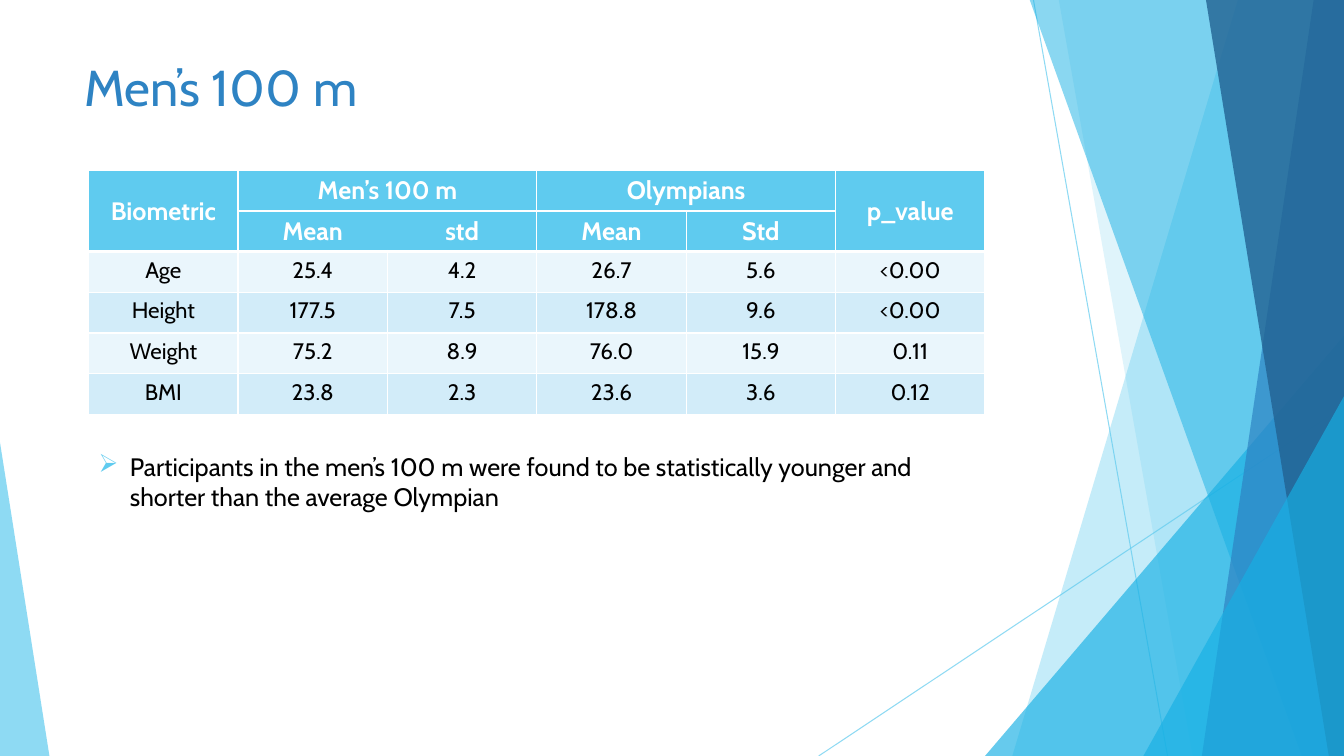
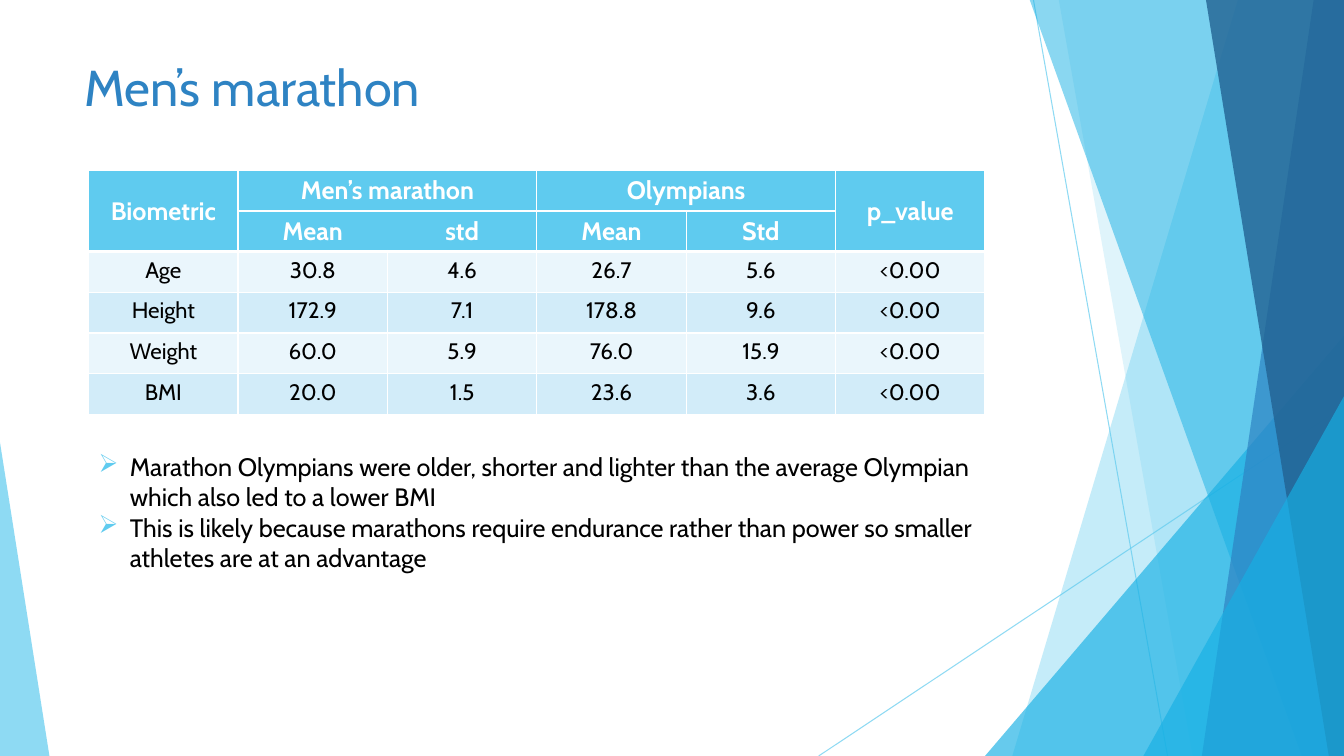
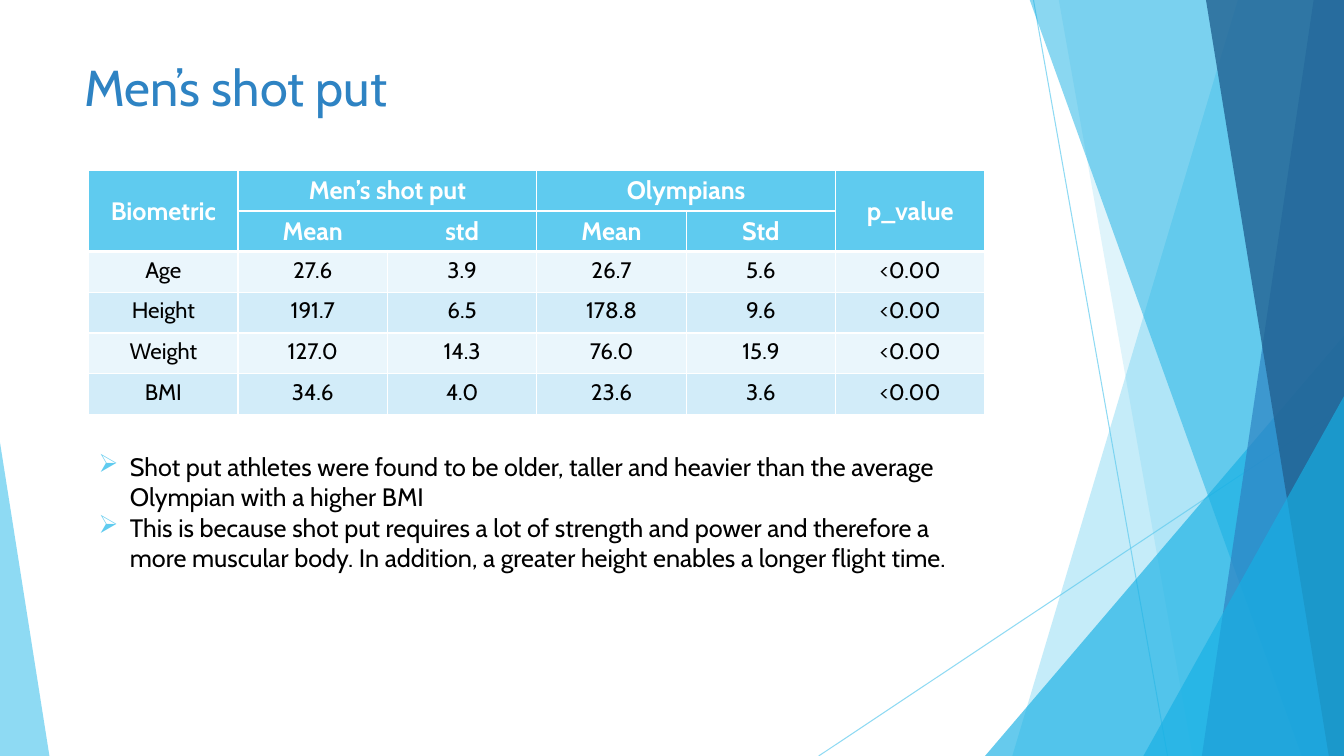
"""Builds three slides that compare men's events with all Olympians."""
from lxml.etree import SubElement
from pptx import Presentation
from pptx.dml.color import RGBColor as RGB
from pptx.enum.shapes import MSO_CONNECTOR as LINK, MSO_SHAPE as SHAPE
from pptx.enum.text import MSO_ANCHOR as ANCHOR, MSO_AUTO_SIZE as FIT, PP_ALIGN as ALIGN
from pptx.oxml.ns import qn
from pptx.util import Inches, Pt

HUES = {"sky": "5FCBEF", "cyan": "17B0E4", "blue": "2E83C3", "navy": "226292",
        "pale": "EAF6FC", "band": "D2ECF9", "white": "FFFFFF", "black": "000000"}
LOOKS = {
    "title": ("blue", {"size": Pt(36), "bold": False}),
    "head": ("white", {"size": Pt(18), "bold": True}),
    "body": ("black", {"size": Pt(16), "bold": False}),
    "note": ("black", {"size": Pt(18), "bold": False}),
}
WIDE, HIGH, TOP = 13.33, 7.5, -0.01

LINES = [(10.25, 0, 11.58, HIGH), (WIDE, 4.03, 8.12, HIGH)]
SHARDS = [
    ("free", (12.28, 10.04), "sky", 36),
    ("free", (10.5, 11.83), "sky", 20),
    ("tri", (9.77, 3.33, 3.56, 4.17, 1), "cyan", 66),
    ("free", (10.21, 12.91), "cyan", 50),
    ("free", (13.03, 11.92), "blue", 70),
    ("free", (11.96, 13.18), "navy", 80),
    ("tri", (11.34, 3.93, 1.99, 3.57, 1), "cyan", 66),
    ("tri", (0, 4.39, 0.49, 3.11, 0), "sky", 70),
]

NAMES = ["Age", "Height", "Weight", "BMI"]
ALL = [("26.7", "5.6"), ("178.8", "9.6"), ("76.0", "15.9"), ("23.6", "3.6")]
EVENTS = [
    ("Men’s 100 m",
     [("25.4", "4.2", "<0.00"), ("177.5", "7.5", "<0.00"),
      ("75.2", "8.9", "0.11"), ("23.8", "2.3", "0.12")],
     ["Participants in the men’s 100 m were found to be statistically younger and "
      "shorter than the average Olympian"]),
    ("Men’s marathon",
     [("30.8", "4.6", "<0.00"), ("172.9", "7.1", "<0.00"),
      ("60.0", "5.9", "<0.00"), ("20.0", "1.5", "<0.00")],
     ["Marathon Olympians were older, shorter and lighter than the average Olympian "
      "which also led to a lower BMI",
      "This is likely because marathons require endurance rather than power so smaller "
      "athletes are at an advantage"]),
    ("Men’s shot put",
     [("27.6", "3.9", "<0.00"), ("191.7", "6.5", "<0.00"),
      ("127.0", "14.3", "<0.00"), ("34.6", "4.0", "<0.00")],
     ["Shot put athletes were found to be older, taller and heavier than the average "
      "Olympian with a higher BMI",
      "This is because shot put requires a lot of strength and power and therefore a "
      "more muscular body. In addition, a greater height enables a longer flight time."]),
]
SPANS = [(0, 0, 1, 0), (0, 1, 0, 2), (0, 3, 0, 4), (0, 5, 1, 5)]
THICK = {(0, 0, "B"), (0, 5, "B")} | {(1, c, "B") for c in range(6)} | {(2, c, "T") for c in range(6)}
BARE = {(1, 1, "R"), (1, 2, "L")}


def write(para, text, look):
    hue, form = LOOKS[look]
    run = para.add_run()
    run.text = text
    run.font.name = "Cabin"
    run.font.color.rgb = RGB.from_string(HUES[hue])
    for key, val in form.items():
        setattr(run.font, key, val)


def fade(shape, alpha):
    for tone in shape.element.spPr.iter(qn("a:srgbClr")):
        SubElement(tone, qn("a:alpha"), val=str(alpha * 1000))


deck = Presentation()
deck.slide_width, deck.slide_height = Inches(WIDE), Inches(HIGH)
blank = deck.slide_layouts[6]
for spot in list(blank.placeholders):
    blank.shapes.element.remove(spot.element)
slides = [deck.slides.add_slide(blank) for _ in EVENTS]

shapes = slides[0].shapes
for ends in LINES:
    line = shapes.add_connector(LINK.STRAIGHT, *map(Inches, ends))
    line.line.color.rgb = RGB.from_string(HUES["sky"])
    line.line.width = Pt(0.75)
    fade(line, 70)
    SubElement(line.element.spPr, qn("a:effectLst"))
for kind, geo, hue, alpha in SHARDS:
    if kind == "free":
        top, base = geo
        pen = shapes.build_freeform(Inches(top), Inches(TOP))
        pen.add_line_segments([(Inches(x), Inches(y)) for x, y in
                               [(WIDE, TOP), (WIDE, HIGH), (base, HIGH)]])
        shard = pen.convert_to_shape()
    else:
        shard = shapes.add_shape(SHAPE.ISOSCELES_TRIANGLE, *map(Inches, geo[:4]))
        shard.adjustments[0] = geo[4]
    shard.shadow.inherit = False
    shard.fill.solid()
    shard.fill.fore_color.rgb = RGB.from_string(HUES[hue])
    shard.line.fill.background()
    fade(shard, alpha)
for shape in list(shapes):
    blank.shapes.element.append(shape.element)

for slide, (event, stats, notes) in zip(slides, EVENTS):
    title = slide.shapes.add_textbox(Inches(0.74), Inches(0.51), Inches(9.4), Inches(1.44))
    title.text_frame.word_wrap = True
    write(title.text_frame.paragraphs[0], event, "title")

    rows = [("Biometric", event, "", "Olympians", "", "p_value"),
            ("", "Mean", "std", "Mean", "Std", "")]
    rows += [(name, mean, std, *both, p) for name, (mean, std, p), both in zip(NAMES, stats, ALL)]
    frame = slide.shapes.add_table(6, 6, Inches(0.88), Inches(1.69), Inches(8.89), Inches(2.42))
    grid = frame.table
    for r1, c1, r2, c2 in SPANS:
        grid.cell(r1, c1).merge(grid.cell(r2, c2))
    for i, (cell, node) in enumerate(zip(grid.iter_cells(), frame.element.iter(qn("a:tc")))):
        r, c = divmod(i, 6)
        for side in "LRTB":
            key = (r, c, side)
            width = Pt(3 if key in THICK else 1)
            edge = SubElement(node.get_or_add_tcPr(), qn("a:ln" + side), w=str(width))
            if key in BARE:
                SubElement(edge, qn("a:noFill"))
            else:
                SubElement(SubElement(edge, qn("a:solidFill")), qn("a:srgbClr"), val=HUES["white"])
        cell.fill.solid()
        hue = "sky" if r < 2 else ("pale", "band")[r % 2]
        cell.fill.fore_color.rgb = RGB.from_string(HUES[hue])
        if r == 0 and c in (0, 5):
            cell.vertical_anchor = ANCHOR.MIDDLE
        if rows[r][c]:
            para = cell.text_frame.paragraphs[0]
            para.alignment = ALIGN.CENTER
            write(para, rows[r][c], "head" if r < 2 else "body")

    box = slide.shapes.add_textbox(Inches(0.88), Inches(4.43), Inches(8.89),
                                   Inches(0.1 + 0.6 * len(notes)))
    text = box.text_frame
    for key, val in {"word_wrap": True, "auto_size": FIT.SHAPE_TO_FIT_TEXT}.items():
        setattr(text, key, val)
    for i, note in enumerate(notes):
        para = text.add_paragraph() if i else text.paragraphs[0]
        write(para, note, "note")
        props = para._p.get_or_add_pPr()
        for key, val in {"marL": 0.31, "indent": -0.31}.items():
            props.set(key, str(Inches(val)))
        SubElement(SubElement(props, qn("a:buClr")), qn("a:srgbClr"), val=HUES["sky"])
        SubElement(props, qn("a:buChar"), char="➢")

deck.save("out.pptx")
